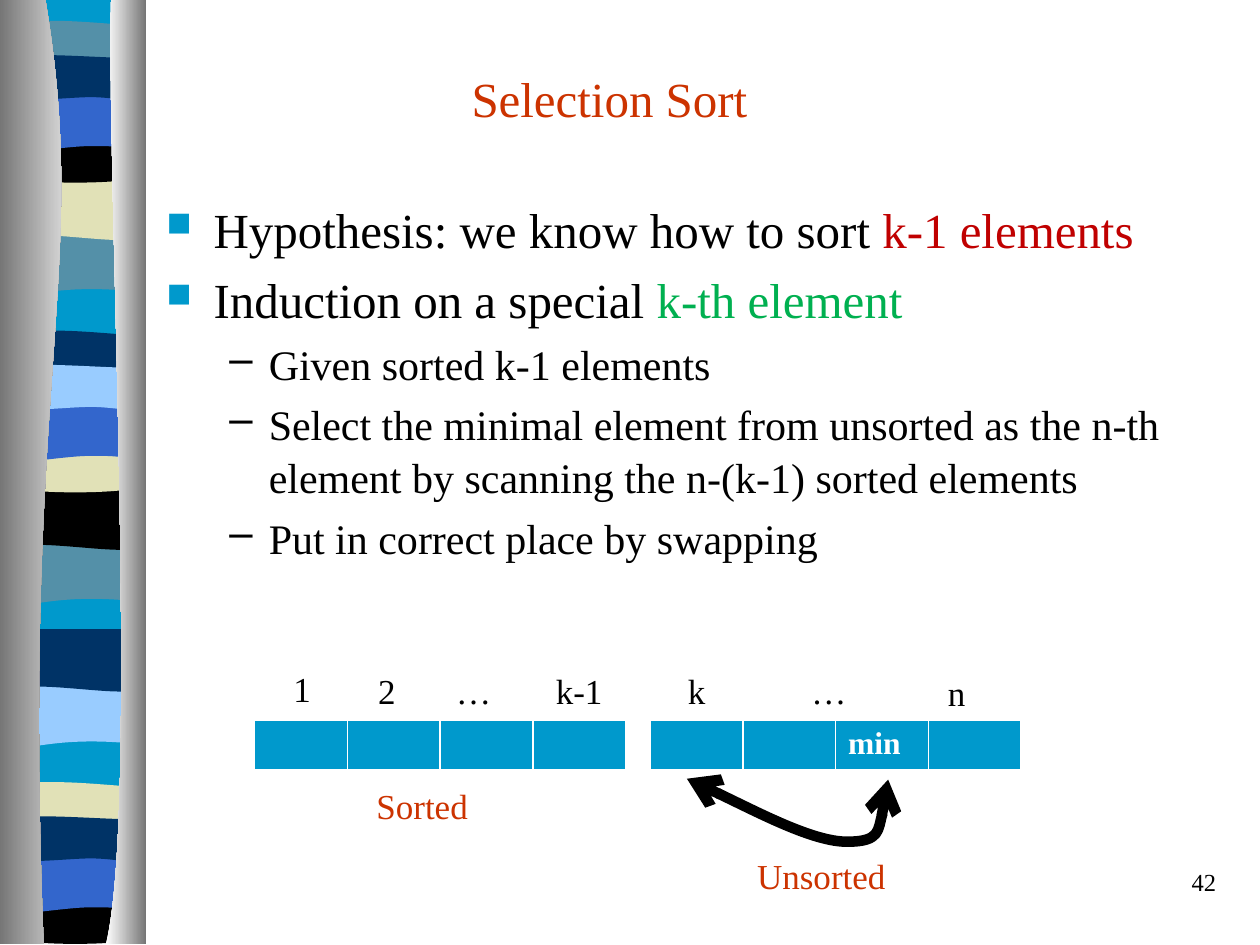
import dataclasses

import pptx
import pptx.dml.color
import pptx.enum.text
import pptx.oxml.ns
import pptx.util
from lxml import etree

Pt = pptx.util.Pt
Align = pptx.enum.text.PP_ALIGN
qn = pptx.oxml.ns.qn


@dataclasses.dataclass(frozen=True)
class Theme:
    font: str = "Times New Roman"
    black: str = "000000"
    white: str = "FFFFFF"
    gray: str = "767676"
    accent: str = "0099CC"
    heading: str = "CC3300"
    red: str = "C00000"
    green: str = "00B050"
    steel: str = "5490A8"
    sand: str = "E1E1B7"
    navy: str = "003366"
    royal: str = "3366CC"
    sky: str = "99CCFF"
    title_size: int = 28
    detail_size: int = 24
    label_size: int = 20
    cell_size: int = 18
    number_size: int = 14


def rgb(color):
    return pptx.dml.color.RGBColor.from_string(color)


def add_node(parent, tag, **attributes):
    return etree.SubElement(parent, qn(tag), attributes)


def bend_segments(shape, segments):
    """Turn the three line ends of every six-number segment into one Bezier curve."""
    lines = iter(list(shape.element.iter(qn("a:lnTo"))))
    for segment in segments:
        first = next(lines)
        if len(segment) == 2:
            continue
        curve = etree.Element(qn("a:cubicBezTo"))
        first.addprevious(curve)
        for line in (first, next(lines), next(lines)):
            curve.append(line[0])
            line.getparent().remove(line)


class SlideBuilder:
    def __init__(self, page, theme):
        self.page = page
        self.theme = theme

    def add_span(self, para, text, size, color=None, bold=False):
        span = para.add_run()
        span.text = text
        span.font.name = self.theme.font
        span.font.size = Pt(size)
        span.font.bold = bold
        span.font.color.rgb = rgb(color or self.theme.black)

    def frame(self, left, top, width, height, wrap=True):
        box = self.page.shapes.add_textbox(Pt(left), Pt(top), Pt(width), Pt(height))
        box.text_frame.word_wrap = wrap
        return box.text_frame

    def label(self, text, left, top, width, height=36.5, size=None, color=None,
              align=Align.LEFT, wrap=True):
        para = self.frame(left, top, width, height, wrap).paragraphs[0]
        para.alignment = align
        self.add_span(para, text, size or self.theme.label_size, color)

    def bullets(self, items, left, top, width, height):
        """Each item is a level and a list of (text, color) spans."""
        frame = self.frame(left, top, width, height)
        for index, (level, spans) in enumerate(items):
            para = frame.add_paragraph() if index else frame.paragraphs[0]
            para.level = level
            properties = para._p.get_or_add_pPr()
            margin, hanging = ((27, 27), (58.5, 22.5))[level]
            properties.set("marL", str(Pt(margin)))
            properties.set("indent", str(-Pt(hanging)))
            if level == 0:
                bullet_color = add_node(properties, "a:buClr")
                add_node(bullet_color, "a:srgbClr", val=self.theme.accent)
                add_node(properties, "a:buSzPct", val="70000")
            add_node(properties, "a:buChar", char="■–"[level])
            para.line_spacing = 1.05
            if index:
                para.space_before = Pt((5, 4.3)[level])
            size = (self.theme.title_size, self.theme.detail_size)[level]
            for text, color in spans:
                self.add_span(para, text, size, color)

    def outline(self, start, segments, closed=True):
        """Two numbers in a segment make a line, six make a curve."""
        points = [(Pt(x), Pt(y)) for segment in segments
                  for x, y in zip(segment[::2], segment[1::2])]
        builder = self.page.shapes.build_freeform(Pt(start[0]), Pt(start[1]))
        builder.add_line_segments(points, close=closed)
        shape = builder.convert_to_shape()
        bend_segments(shape, segments)
        shape.shadow.inherit = False
        return shape

    def area(self, start, segments, *colors):
        """One colour fills plainly, two make a gradient from left to right."""
        shape = self.outline(start, segments)
        shape.line.fill.background()
        if len(colors) == 1:
            shape.fill.solid()
            shape.fill.fore_color.rgb = rgb(colors[0])
            return
        shape.fill.gradient()
        shape.fill.gradient_angle = 0
        for stop, color in zip(shape.fill.gradient_stops, colors):
            stop.color.rgb = rgb(color)

    def double_arrow(self, start, segments, width):
        shape = self.outline(start, segments, closed=False)
        shape.fill.background()
        shape.line.width = Pt(width)
        shape.line.color.rgb = rgb(self.theme.black)
        line = shape.line._get_or_add_ln()
        for end in ("a:headEnd", "a:tailEnd"):
            add_node(line, end, type="arrow")

    def array(self, texts, left, top, width, height):
        frame = self.page.shapes.add_table(
            1, len(texts), Pt(left), Pt(top), Pt(width), Pt(height))
        for column, text in enumerate(texts):
            cell = frame.table.cell(0, column)
            properties = cell._tc.get_or_add_tcPr()
            for side, weight in (("L", 1), ("R", 1), ("T", 1), ("B", 3)):
                border = add_node(properties, f"a:ln{side}", w=str(Pt(weight)))
                add_node(add_node(border, "a:solidFill"), "a:srgbClr", val=self.theme.white)
            cell.fill.solid()
            cell.fill.fore_color.rgb = rgb(self.theme.accent)
            para = cell.text_frame.paragraphs[0]
            para.font.size = Pt(self.theme.cell_size)
            if text:
                self.add_span(para, text, self.theme.cell_size, self.theme.white, bold=True)


def draw_ribbon(slide):
    theme = slide.theme
    left, right = 4, 82
    slide.area((right, 0), [(right, 538), (left, 538), (left, 0)], theme.accent)
    # Each band: top, offset of its third repeat, colours, segments after the top right corner
    bands = [
        (133, 258.5, (theme.steel, theme.steel, theme.sky),
         [(right, 34), (28, 28, 17, 39.5, left, 34), (left, 0)]),
        (101.5, 258, (theme.sand, theme.black, theme.navy),
         [(right, 34), (69, 39.5, 28, 29.5, left, 34), (left, 0)]),
        (15, 435, (theme.steel, theme.navy, theme.sand),
         [(right, 17.5), (69, 21, 17, 21, left, 17.5), (left, 0),
          (8.5, -3.5, 21, -3, 34, -3), (47, -3, 72, -0.5, right, 0)]),
        (78, 435, (theme.black, theme.sand, theme.black),
         [(right, 23), (69, 27.5, 17, 27.5, left, 23), (left, 0),
          (52, 3.5, 65.5, 0, right, 0)]),
        (53.5, 435, (theme.royal,) * 3,
         [(right, 34), (70, 30, 65, 30, 52, 30), (39, 30, 16, 34, left, 34), (left, 0)]),
        (33, 435, (theme.navy, theme.sky, theme.navy),
         [(right, 22.5), (77, 26, 65, 22.5, 52, 22.5), (39, 22.5, 12, 26, left, 22.5),
          (left, 0), (15, -3.5, 57, 0, 70, 0), (83, 0, 79, 0, right, 0)]),
    ]
    for repeat in range(3):
        for top, last_offset, colors, segments in bands:
            y = top + (0, 177, last_offset)[repeat]
            moved = [tuple(value + y * (index % 2) for index, value in enumerate(segment))
                     for segment in segments]
            slide.area((right, y), moved, colors[repeat])
    slide.area((26, 0), [(52, 155.5, 12, 213, 25, 539.5), (0, 539.5), (0, 0)],
               theme.gray, theme.white)
    slide.area((63.5, 0), [(60.5, 90, 80, 465, 60.5, 539.5), (83.5, 539.5), (83.5, 0)],
               theme.white, theme.gray)


def main():
    deck = pptx.Presentation()
    deck.slide_width, deck.slide_height = Pt(720), Pt(540)
    theme = Theme()
    slide = SlideBuilder(deck.slides.add_slide(deck.slide_layouts[6]), theme)
    draw_ribbon(slide)
    slide.label("42", 552, 492, 150, 36, size=theme.number_size, align=Align.RIGHT)
    slide.bullets([
        (0, [("Hypothesis: we know how to sort ", theme.black), ("k-1 elements", theme.red)]),
        (0, [("Induction on a special ", theme.black), ("k-th element", theme.green)]),
        (1, [("Given sorted k-1 elements", theme.black)]),
        (1, [("Select the minimal element from unsorted as the n-th element "
              "by scanning the n-(k-1) sorted elements", theme.black)]),
        (1, [("Put in correct place by swapping", theme.black)]),
    ], 88, 108.5, 646.5, 156)
    slide.array(["", "", "", ""], 145.5, 411.5, 212, 29.5)
    slide.array(["", "", "min", ""], 371.5, 411.5, 212, 29)
    slide.label("Sorted", 208, 445, 78, color=theme.heading)
    slide.label("Unsorted", 425.5, 484.5, 104, color=theme.heading)
    for text, left, top, width in (
            ("1", 160.5, 378, 27), ("2", 209, 379, 27), ("…", 253.5, 379, 38),
            ("k-1", 310.5, 379, 51), ("k", 386, 379, 51), ("…", 456.5, 379, 51),
            ("n", 534.5, 380, 51)):
        slide.label(text, left, top, width)
    slide.double_arrow((507.5, 445.5), [(505.5, 463.5, 503.5, 481, 484, 481),
                                        (464.5, 481, 410.5, 453, 392.5, 445)], 6)
    slide.label("Selection Sort", 261.5, 35.5, 173.5, 41, size=theme.title_size,
                color=theme.heading, align=Align.CENTER, wrap=False)
    deck.save("out.pptx")


if __name__ == "__main__":
    main()
